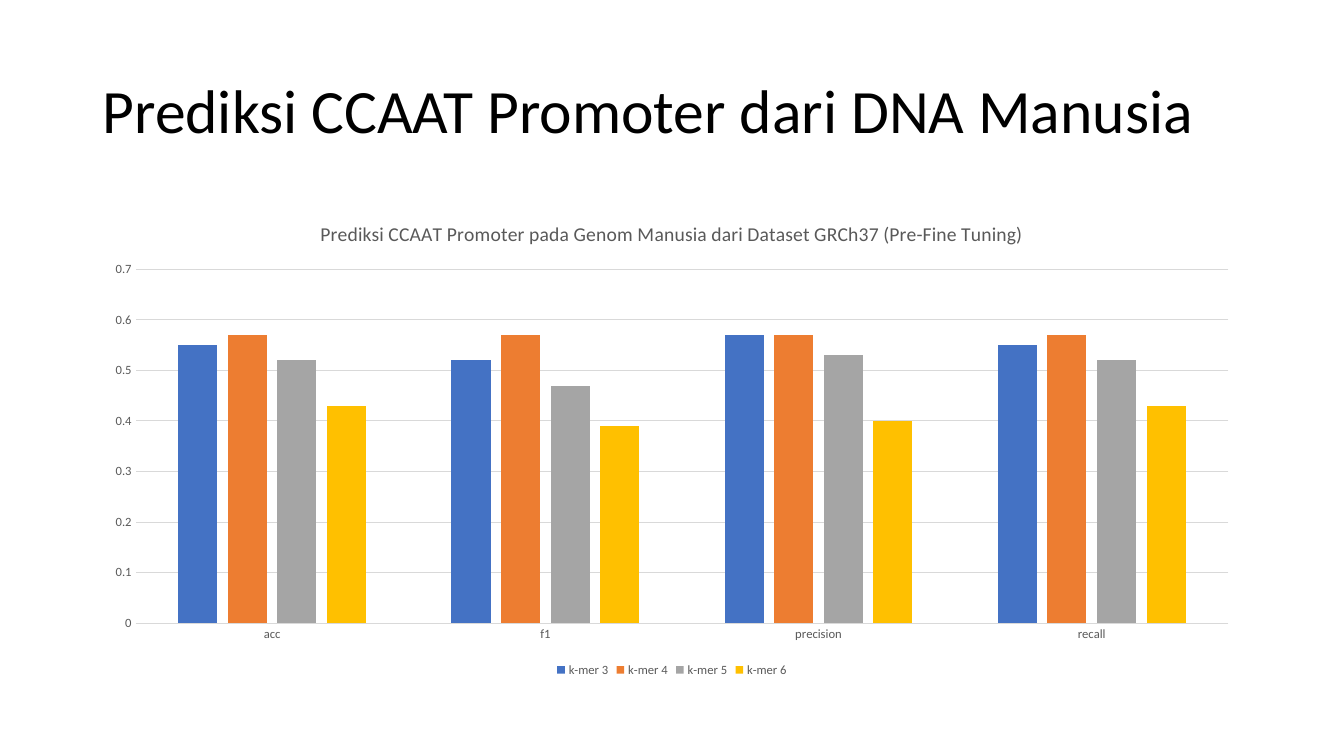
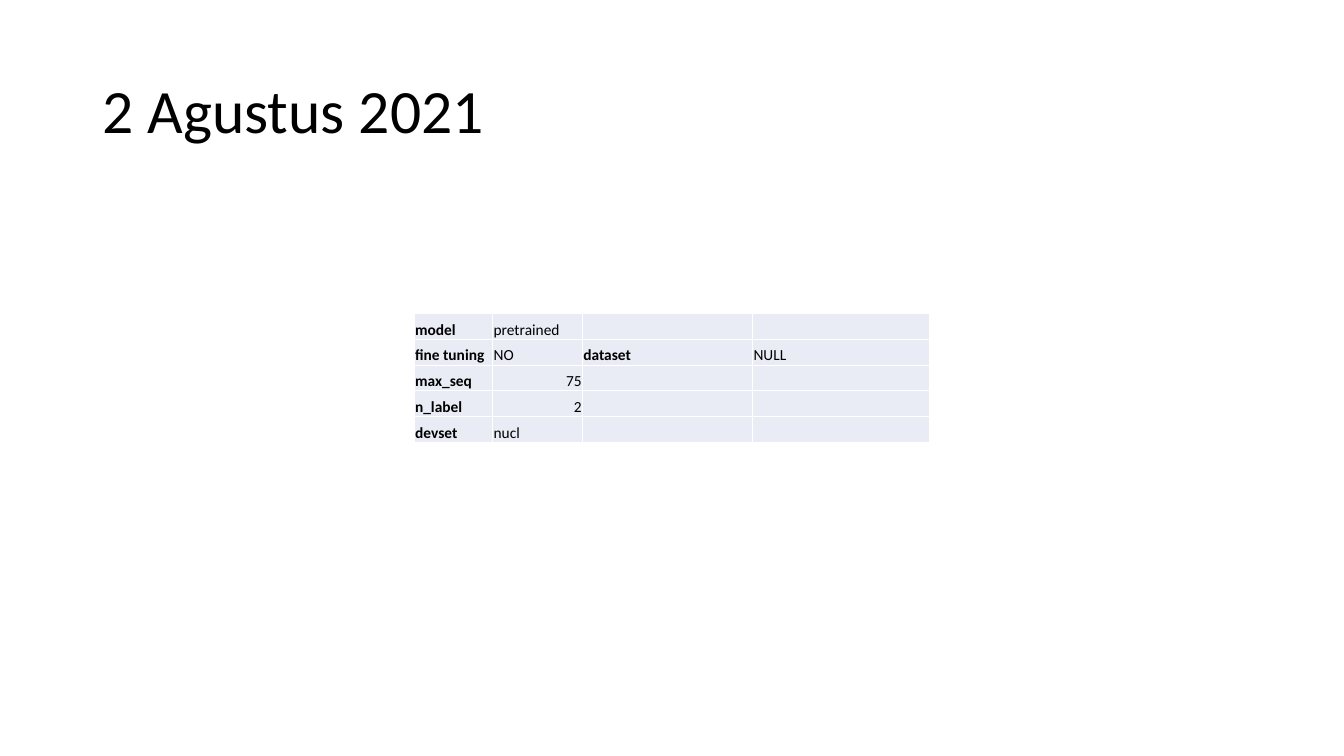
from lxml.etree import SubElement
from pptx import Presentation
from pptx.chart.data import CategoryChartData
from pptx.dml.color import RGBColor
from pptx.enum.chart import XL_CHART_TYPE, XL_LEGEND_POSITION, XL_TICK_MARK
from pptx.enum.text import MSO_ANCHOR, MSO_AUTO_SIZE, PP_ALIGN
from pptx.oxml.ns import qn
from pptx.util import Cm, Pt

BLACK = RGBColor(0x00, 0x00, 0x00)
WHITE = RGBColor(0xFF, 0xFF, 0xFF)
GRAY = RGBColor(0x59, 0x59, 0x59)
RULE = RGBColor(0xD9, 0xD9, 0xD9)
PALE = RGBColor(0xE9, 0xEB, 0xF5)
BLUE = RGBColor(0x44, 0x72, 0xC4)
ORANGE = RGBColor(0xED, 0x7D, 0x31)
SILVER = RGBColor(0xA5, 0xA5, 0xA5)
GOLD = RGBColor(0xFF, 0xC0, 0x00)

FONT = "Calibri"
LEFT, WIDTH = Cm(2.33), Cm(29.21)
HEAD = "Prediksi CCAAT Promoter pada Genom Manusia dari Dataset GRCh37 (Pre-Fine Tuning)"
SCORES = ("acc", "f1", "precision", "recall")
SERIES = (
    ("k-mer 3", (0.55, 0.52, 0.57, 0.55), BLUE),
    ("k-mer 4", (0.57, 0.57, 0.57, 0.57), ORANGE),
    ("k-mer 5", (0.52, 0.47, 0.53, 0.52), SILVER),
    ("k-mer 6", (0.43, 0.39, 0.4, 0.43), GOLD),
)
ROWS = (
    ("model", "pretrained", "", ""),
    ("fine tuning", "NO", "dataset", "NULL"),
    ("max_seq", "75", "", ""),
    ("n_label", "2", "", ""),
    ("devset", "nucl", "", ""),
)
COLS = (1.98, 2.26, 4.29, 4.45)


def apply(item, **values):
    for name, value in values.items():
        setattr(item, name, value)


def style(font, size, color, bold=False):
    apply(font, name=FONT, size=Pt(size), bold=bold)
    font.color.rgb = color


def stroke(line):
    line.color.rgb = RULE
    line.width = Pt(0.75)


def add_slide(deck, text):
    slide = deck.slides.add_slide(deck.slide_layouts[5])
    title = slide.shapes.title
    apply(title, left=LEFT, top=Cm(1.01), width=WIDTH, height=Cm(3.68))
    frame = title.text_frame
    frame.text = text
    apply(frame, word_wrap=True, auto_size=MSO_AUTO_SIZE.NONE,
          vertical_anchor=MSO_ANCHOR.MIDDLE)
    para = frame.paragraphs[0]
    apply(para, alignment=PP_ALIGN.LEFT, line_spacing=0.9)
    style(para.runs[0].font, 44, BLACK)
    return slide


def add_bars(slide):
    data = CategoryChartData()
    data.categories = SCORES
    for name, values, _ in SERIES:
        data.add_series(name, values)
    chart = slide.shapes.add_chart(XL_CHART_TYPE.COLUMN_CLUSTERED, LEFT,
                                   Cm(5.08), WIDTH, Cm(12.09), data).chart
    style(chart.font, 10, BLACK)
    chart.has_title = True
    title = chart.chart_title
    title.include_in_layout = False
    title.text_frame.text = HEAD
    style(title.text_frame.paragraphs[0].runs[0].font, 14, GRAY)
    chart.has_legend = True
    apply(chart.legend, position=XL_LEGEND_POSITION.BOTTOM,
          include_in_layout=False)
    style(chart.legend.font, 9, GRAY)
    plot = chart.plots[0]
    apply(plot, gap_width=219, overlap=-27, vary_by_categories=False)
    for series, (_, _, color) in zip(plot.series, SERIES):
        series.format.fill.solid()
        series.format.fill.fore_color.rgb = color
    for axis in (chart.category_axis, chart.value_axis):
        apply(axis, major_tick_mark=XL_TICK_MARK.NONE,
              minor_tick_mark=XL_TICK_MARK.NONE)
        style(axis.tick_labels.font, 9, GRAY)
    stroke(chart.category_axis.format.line)
    scale = chart.value_axis
    apply(scale, minimum_scale=0, maximum_scale=0.7, major_unit=0.1,
          has_major_gridlines=True)
    scale.format.line.fill.background()
    stroke(scale.major_gridlines.format.line)


def set_edges(cell):
    props = cell._tc.get_or_add_tcPr()
    for place, side in enumerate(("a:lnL", "a:lnR", "a:lnT", "a:lnB")):
        edge = SubElement(props, qn(side), w=str(Pt(1)))
        fill = SubElement(edge, qn("a:solidFill"))
        SubElement(fill, qn("a:srgbClr"), val=str(WHITE))
        props.insert(place, edge)


def fill_cell(cell, text, bold):
    apply(cell, vertical_anchor=MSO_ANCHOR.BOTTOM, margin_left=Cm(0.02),
          margin_right=Cm(0.02), margin_top=Cm(0.02), margin_bottom=0)
    cell.fill.solid()
    cell.fill.fore_color.rgb = PALE
    set_edges(cell)
    para = cell.text_frame.paragraphs[0]
    if text:
        run = para.add_run()
        run.text = text
        style(run.font, 11, BLACK, bold)
        para.alignment = PP_ALIGN.RIGHT if text.isdigit() else PP_ALIGN.LEFT
    else:
        SubElement(para._p, qn("a:endParaRPr"), sz="1100")


def add_grid(slide):
    high = Cm(0.65)
    table = slide.shapes.add_table(len(ROWS), len(COLS), Cm(10.44), Cm(7.9),
                                   Cm(sum(COLS)), high * len(ROWS)).table
    apply(table, first_row=False, horz_banding=False)
    for col, wide in zip(table.columns, COLS):
        col.width = Cm(wide)
    for row, texts in zip(table.rows, ROWS):
        row.height = high
        for spot, (cell, text) in enumerate(zip(row.cells, texts)):
            fill_cell(cell, text, spot % 2 == 0)


def main():
    deck = Presentation()
    apply(deck, slide_width=Cm(33.87), slide_height=Cm(19.05))
    add_bars(add_slide(deck, "Prediksi CCAAT Promoter dari DNA Manusia"))
    add_grid(add_slide(deck, "2 Agustus 2021"))
    deck.save("out.pptx")


main()
